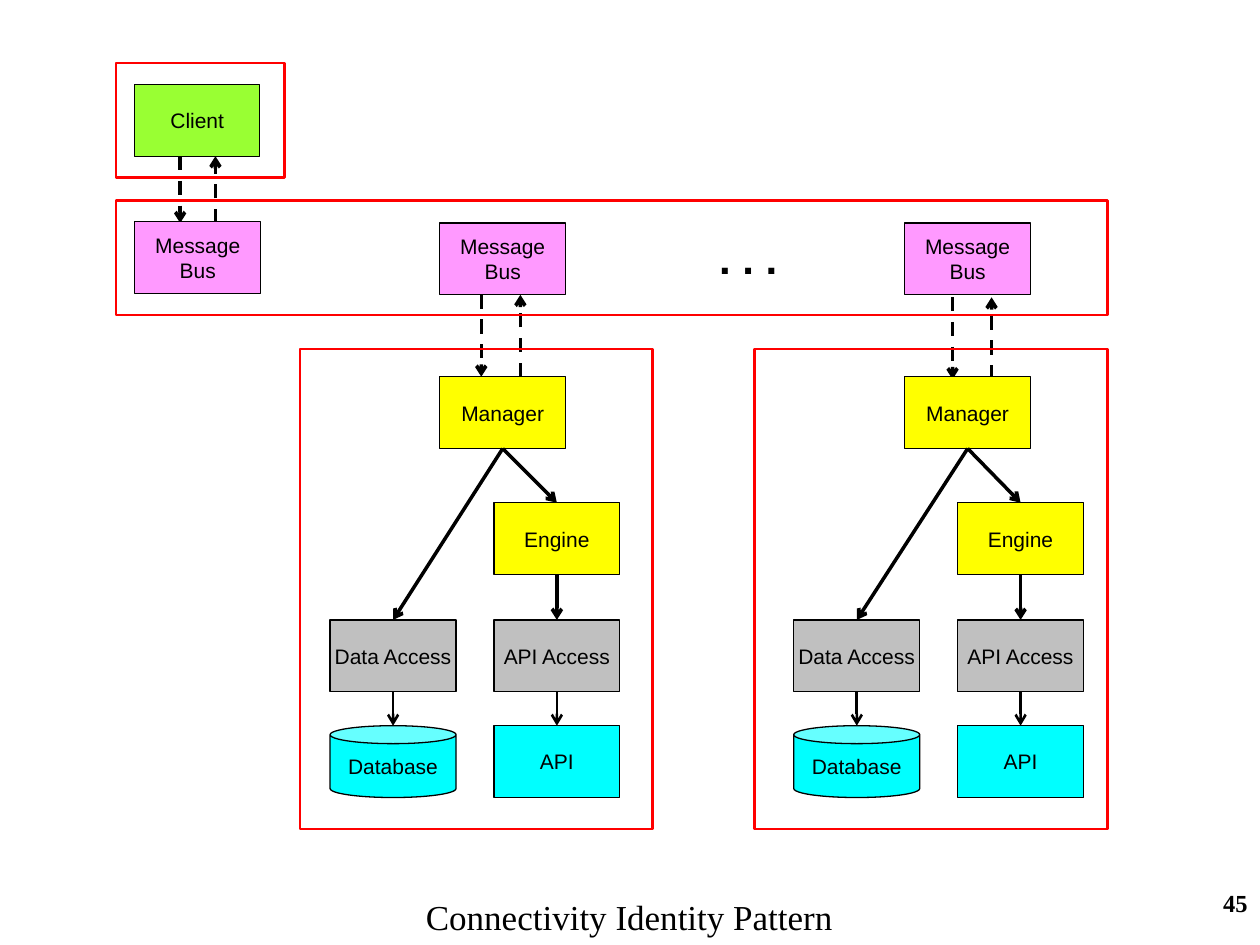
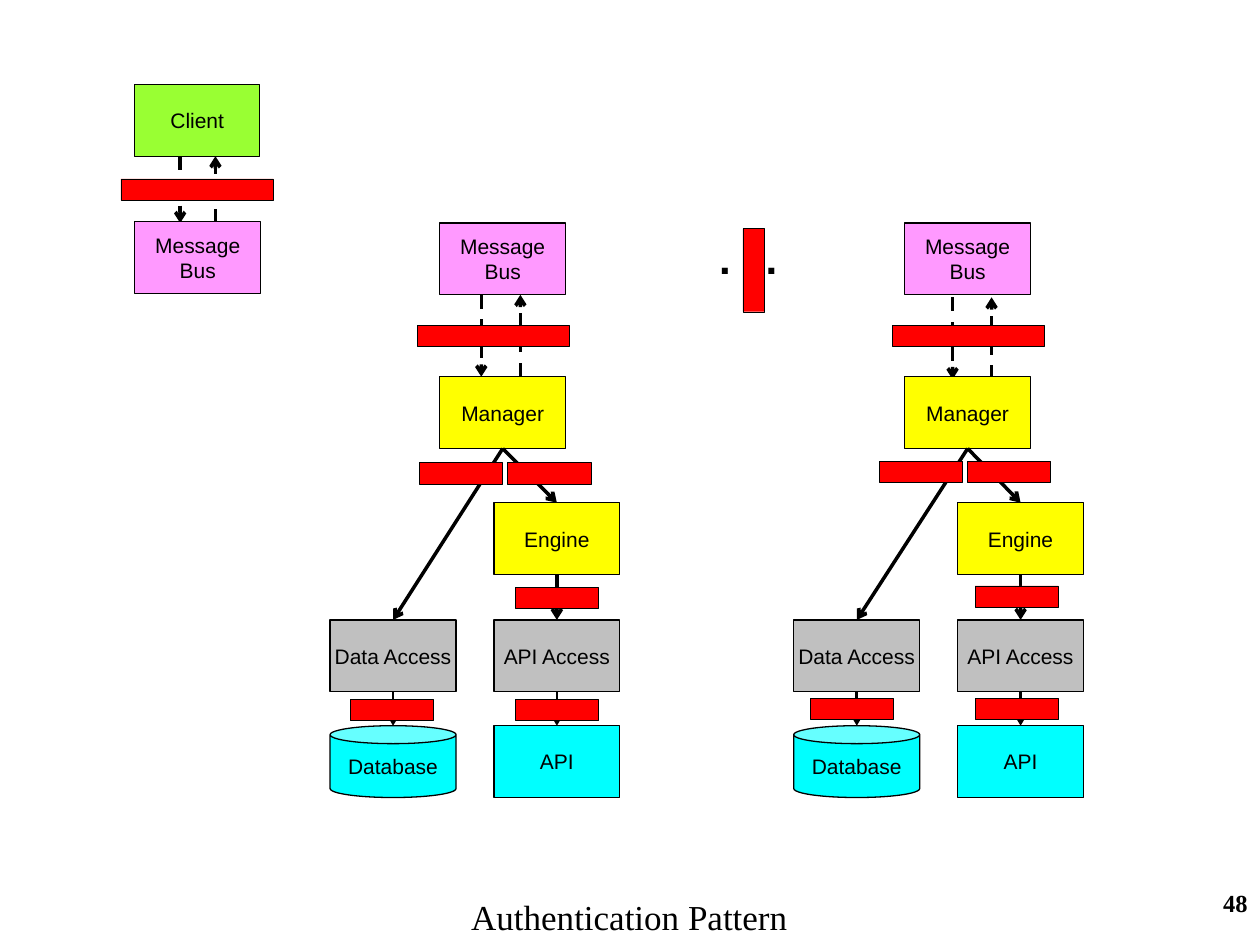
from dataclasses import dataclass

from lxml.etree import SubElement
from pptx import Presentation
from pptx.dml.color import RGBColor
from pptx.enum.dml import MSO_LINE
from pptx.enum.shapes import MSO_CONNECTOR, MSO_SHAPE
from pptx.enum.text import MSO_ANCHOR, MSO_AUTO_SIZE, PP_ALIGN
from pptx.oxml.ns import qn
from pptx.util import Inches, Pt


@dataclass(frozen=True)
class Theme:
    black: str = "000000"
    red: str = "FF0000"
    client: str = "99FF33"
    bus: str = "FF99FF"
    logic: str = "FFFF00"
    access: str = "C0C0C0"
    resource: str = "00FFFF"
    label_font: str = "Arial"
    caption_font: str = "Times New Roman"
    label_size: float = 12
    number_size: float = 14
    caption_size: float = 20
    dots_size: float = 24
    outline: float = 0.75
    frame_line: float = 1.5
    bar_line: float = 0.25
    call_line: float = 2
    resource_line: float = 1.5


@dataclass(frozen=True)
class Service:
    left: float
    top: float
    bus_offset: float
    call_left: float
    call_top: float
    bars_left: float
    bars_top: float
    wide_bar_left: float


THEME = Theme()
BOX_WIDTH, BOX_HEIGHT = 1, 0.57
BAR_HEIGHT = 0.17
WIDE_BAR, NARROW_BAR = 1.21, 0.66
MESSAGE_BUS = "Message\nBus"
CLIENT_BOX = (1.07, 0.67)
SERVICES = (
    Service(2.62, 1.77, 0.87, 3.82, 2.34, 2.62, 1.77, 3.31),
    Service(6.3, 1.77, 0.88, 7.56, 2.36, 6.27, 1.76, 7.08),
)
CALL_BARS = ((0.71, 1.9), (1.41, 1.9), (0.16, 3.78), (1.47, 2.89), (1.47, 3.78))
TRUST_FRAMES = (
    (0.92, 0.5, 1.34, 0.91),
    (0.92, 1.59, 7.87, 0.91),
    (2.38, 2.77, 2.8, 3.81),
    (5.99, 2.77, 2.8, 3.81),
)


def format_text(text_frame, text, font_name, size, alignment, bold=False):
    text_frame.text = text
    for paragraph in text_frame.paragraphs:
        paragraph.alignment = alignment
        for run in paragraph.runs:
            run.font.name = font_name
            run.font.size = Pt(size)
            run.font.bold = bold
            run.font.color.rgb = RGBColor.from_string(THEME.black)


def add_block(slide, box, fill=None, line=THEME.black, width=THEME.outline,
              kind=MSO_SHAPE.RECTANGLE):
    shape = slide.shapes.add_shape(kind, *map(Inches, box))
    shape.shadow.inherit = False
    if fill:
        shape.fill.solid()
        shape.fill.fore_color.rgb = RGBColor.from_string(fill)
    else:
        shape.fill.background()
    shape.line.color.rgb = RGBColor.from_string(line)
    shape.line.width = Pt(width)
    return shape


def add_component(slide, left, top, label, fill, width=BOX_WIDTH,
                  kind=MSO_SHAPE.RECTANGLE):
    shape = add_block(slide, (left, top, width, BOX_HEIGHT), fill, kind=kind)
    text_frame = shape.text_frame
    text_frame.word_wrap = False
    text_frame.vertical_anchor = MSO_ANCHOR.MIDDLE
    format_text(text_frame, label, THEME.label_font, THEME.label_size, PP_ALIGN.CENTER)


def add_arrow(slide, start, end, width=THEME.call_line, dashed=False):
    connector = slide.shapes.add_connector(
        MSO_CONNECTOR.STRAIGHT, *map(Inches, (*start, *end)))
    connector.line.color.rgb = RGBColor.from_string(THEME.black)
    connector.line.width = Pt(width)
    if dashed:
        connector.line.dash_style = MSO_LINE.DASH
    SubElement(connector.line._get_or_add_ln(), qn("a:tailEnd"), type="arrow")
    SubElement(connector._element.spPr, qn("a:effectLst"))


def add_queued_calls(slide, left, top, gap, height):
    bottom = top + height
    add_arrow(slide, (left, top), (left, bottom), dashed=True)
    add_arrow(slide, (left + gap, bottom), (left + gap, top), dashed=True)


def add_bar(slide, left, top, width=NARROW_BAR):
    return add_block(slide, (left, top, width, BAR_HEIGHT), THEME.red,
                     width=THEME.bar_line)


def add_text(slide, box, text, font_name, size, alignment):
    text_box = slide.shapes.add_textbox(*map(Inches, box))
    text_box.text_frame.word_wrap = True
    format_text(text_box.text_frame, text, font_name, size, alignment, bold=True)


def add_client(slide, left, top):
    add_queued_calls(slide, left + 0.36, top + BOX_HEIGHT, 0.28, 0.53)
    add_component(slide, left, top, "Client", THEME.client, width=0.99)
    add_component(slide, left, top + 1.09, MESSAGE_BUS, THEME.bus)


def add_service(slide, service):
    left, top = service.left, service.top
    api_left = left + 1.3
    bus_left = left + service.bus_offset
    manager_top, engine_top, access_top, resource_top = (
        top + offset for offset in (1.22, 2.22, 3.15, 3.99))
    data_center, api_center, manager_center = (
        edge + BOX_WIDTH / 2 for edge in (left, api_left, bus_left))

    add_component(slide, bus_left, top, MESSAGE_BUS, THEME.bus)
    add_queued_calls(slide, service.call_left, service.call_top, 0.31, 0.65)
    add_component(slide, bus_left, manager_top, "Manager", THEME.logic)
    add_component(slide, api_left, engine_top, "Engine", THEME.logic)
    add_component(slide, left, access_top, "Data Access", THEME.access)
    add_component(slide, api_left, access_top, "API Access", THEME.access)
    add_component(slide, left, resource_top, "Database", THEME.resource, kind=MSO_SHAPE.CAN)
    add_component(slide, api_left, resource_top, "API", THEME.resource)

    manager_exit = (manager_center, manager_top + BOX_HEIGHT)
    add_arrow(slide, manager_exit, (api_center, engine_top))
    add_arrow(slide, manager_exit, (data_center, access_top))
    add_arrow(slide, (api_center, engine_top + BOX_HEIGHT), (api_center, access_top))
    for center in (data_center, api_center):
        add_arrow(slide, (center, access_top + BOX_HEIGHT), (center, resource_top),
                  THEME.resource_line)


def add_caption(slide, caption, number):
    title = slide.shapes.title
    title.left, title.top, title.width, title.height = map(
        Inches, (3.17, 7.06, 3.65, 0.44))
    text_frame = title.text_frame
    text_frame.word_wrap = True
    text_frame.auto_size = MSO_AUTO_SIZE.NONE
    text_frame.vertical_anchor = MSO_ANCHOR.TOP
    format_text(text_frame, caption, THEME.caption_font, THEME.caption_size,
                PP_ALIGN.CENTER)
    add_text(slide, (7.92, 7, 2.08, 0.5), number, THEME.caption_font,
             THEME.number_size, PP_ALIGN.RIGHT)


def add_system_slide(presentation, caption, number):
    slide = presentation.slides.add_slide(presentation.slide_layouts[5])
    add_caption(slide, caption, number)
    add_client(slide, *CLIENT_BOX)
    for service in SERVICES:
        add_service(slide, service)
    add_text(slide, (5.61, 1.8, 0.74, 0.5), ". . .", THEME.label_font,
             THEME.dots_size, PP_ALIGN.LEFT)
    return slide


def add_identity_slide(presentation):
    slide = add_system_slide(presentation, "Connectivity Identity Pattern", "45")
    for frame in TRUST_FRAMES:
        add_block(slide, frame, line=THEME.red, width=THEME.frame_line)


def add_authentication_slide(presentation):
    slide = add_system_slide(presentation, "Authentication Pattern", "48")
    add_bar(slide, 0.96, 1.42, WIDE_BAR)
    for service in SERVICES:
        add_bar(slide, service.wide_bar_left, 2.58, WIDE_BAR)
        for left, top in CALL_BARS:
            add_bar(slide, service.bars_left + left, service.bars_top + top)
    add_bar(slide, 5.65, 2.06).rotation = 90


def main():
    presentation = Presentation()
    presentation.slide_width = Inches(10)
    presentation.slide_height = Inches(7.5)
    add_identity_slide(presentation)
    add_authentication_slide(presentation)
    presentation.save("out.pptx")


if __name__ == "__main__":
    main()
